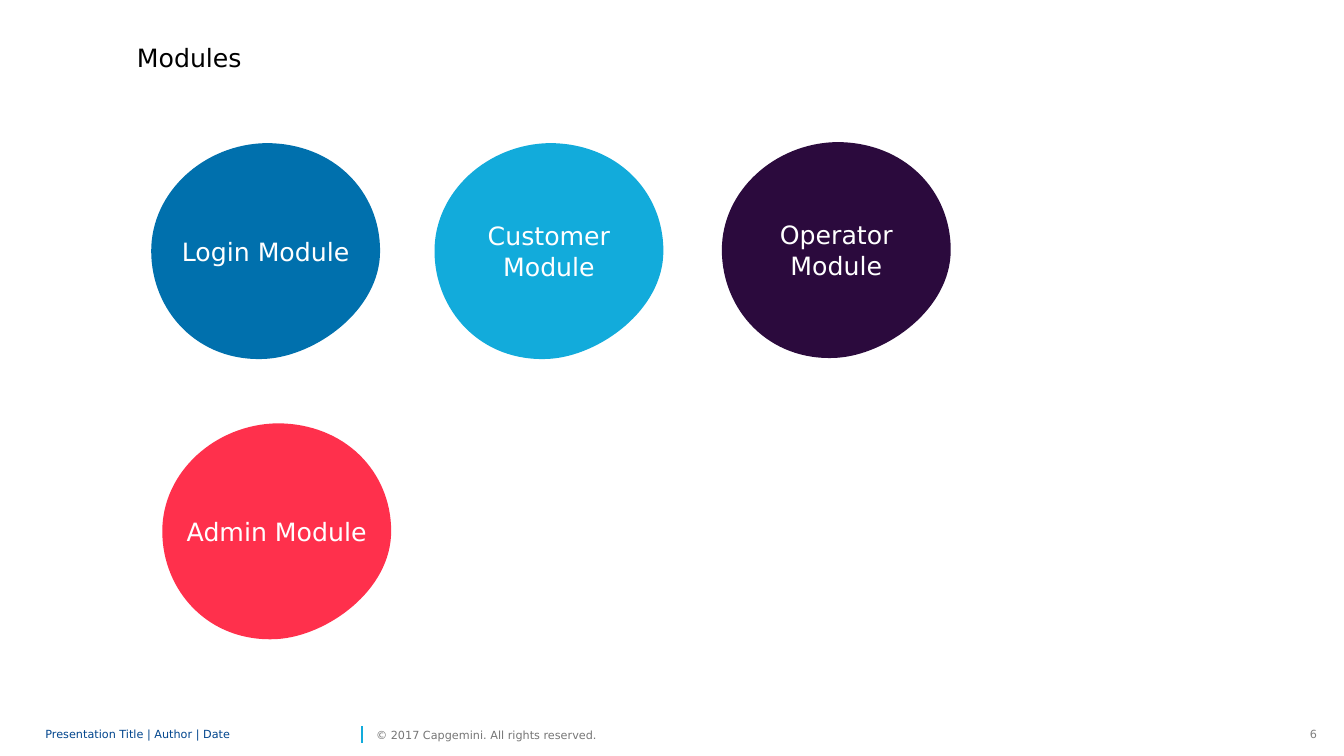
from pptx import Presentation
from pptx.dml.color import RGBColor
from pptx.enum.shapes import MSO_CONNECTOR
from pptx.enum.text import MSO_ANCHOR, PP_ALIGN
from pptx.oxml.ns import qn
from pptx.util import Inches, Pt
from lxml import etree

FONT = "DejaVu Sans"
BLACK = RGBColor(0x00, 0x00, 0x00)
WHITE = RGBColor(0xFF, 0xFF, 0xFF)
BLUE = RGBColor(0x00, 0x70, 0xAD)
CYAN = RGBColor(0x12, 0xAB, 0xDB)
PURPLE = RGBColor(0x2B, 0x0A, 0x3D)
RED = RGBColor(0xFF, 0x30, 0x4C)
NAVY = RGBColor(0x00, 0x45, 0x8D)
GREY = RGBColor(0x76, 0x76, 0x76)
PAGE_GREY = RGBColor(0x80, 0x80, 0x80)

BLOB_CURVES = [
    ((0, 0.48), (0.53, 0.01), (1.14, 0)),
    ((1.81, 0), (2.27, 0.48), (2.27, 1.07)),
    ((2.27, 1.66), (1.63, 2.11), (1.14, 2.14)),
    ((0.46, 2.18), (0, 1.66), (0, 1.07)),
]

MODULES = [
    ("Admin Module", 1.61, 4.2, RED),
    ("Customer Module", 4.31, 1.42, CYAN),
    ("Login Module", 1.5, 1.42, BLUE),
    ("Operator Module", 7.16, 1.41, PURPLE),
]


def write(tf, text, size, color, align=PP_ALIGN.LEFT):
    """Write one styled run into the first paragraph of a text frame."""
    p = tf.paragraphs[0]
    p.alignment = align
    r = p.add_run()
    r.text = text
    r.font.name = FONT
    r.font.size = Pt(size)
    r.font.color.rgb = color


def add_blob(slide, left, top):
    """Add the four-curve module outline."""
    ends = [(Inches(left + x), Inches(top + y)) for *_, (x, y) in BLOB_CURVES]
    builder = slide.shapes.build_freeform(*ends[-1])
    builder.add_line_segments(ends, close=True)
    s = builder.convert_to_shape()
    segments = list(s._element.iter(qn("a:lnTo")))
    for segment, (*controls, _) in zip(segments, BLOB_CURVES):
        segment.tag = qn("a:cubicBezTo")
        for i, (x, y) in enumerate(controls):
            pt = etree.Element(qn("a:pt"), x=str(Inches(x)), y=str(Inches(y)))
            segment.insert(i, pt)
    return s


def add_module(slide, text, left, top, color):
    """Add a coloured blob with a centred module name."""
    s = add_blob(slide, left, top)
    s.shadow.inherit = False
    s.fill.solid()
    s.fill.fore_color.rgb = color
    s.line.fill.background()
    tf = s.text_frame
    tf.word_wrap = True
    tf.vertical_anchor = MSO_ANCHOR.MIDDLE
    write(tf, text, 18, WHITE, PP_ALIGN.CENTER)


def add_text(slide, text, box, size, color, wrap=True, align=PP_ALIGN.LEFT):
    """Add a text box and return its frame."""
    tf = slide.shapes.add_textbox(*map(Inches, box)).text_frame
    tf.word_wrap = wrap
    write(tf, text, size, color, align)
    return tf


def add_footer_text(slide, text, box, color, wrap=True):
    """Add a small vertically centred text without insets."""
    tf = add_text(slide, text, box, 8, color, wrap)
    tf.vertical_anchor = MSO_ANCHOR.MIDDLE
    tf.margin_left = tf.margin_right = tf.margin_top = tf.margin_bottom = 0
    return tf


def add_divider(slide, x, top, bottom):
    """Add the vertical footer line."""
    s = slide.shapes.add_connector(
        MSO_CONNECTOR.STRAIGHT, *map(Inches, (x, bottom, x, top)))
    s.line.color.rgb = CYAN
    s.line.width = Pt(1)
    etree.SubElement(s._element.spPr, qn("a:effectLst"))


def main():
    """Build the modules slide."""
    prs = Presentation()
    prs.slide_width, prs.slide_height = Inches(13.33), Inches(7.5)
    slide = prs.slides.add_slide(prs.slide_layouts[6])

    add_text(slide, "6", (12.89, 7.17, 0.27, 0.24), 8, PAGE_GREY,
             wrap=False, align=PP_ALIGN.RIGHT)
    add_divider(slide, 3.59, 7.2, 7.37)
    tf = add_footer_text(slide, "Presentation Title | Author | Date",
                         (0.45, 7.17, 3.09, 0.24), NAVY)
    tf.paragraphs[0].line_spacing = 0.85
    add_footer_text(slide, "© 2017 Capgemini. All rights reserved.",
                    (3.73, 7.17, 2.43, 0.24), GREY, wrap=False)

    add_text(slide, "Modules", (1.26, 0.37, 6.27, 0.4), 18, BLACK)
    for module in MODULES:
        add_module(slide, *module)
    prs.save("out.pptx")


if __name__ == "__main__":
    main()
